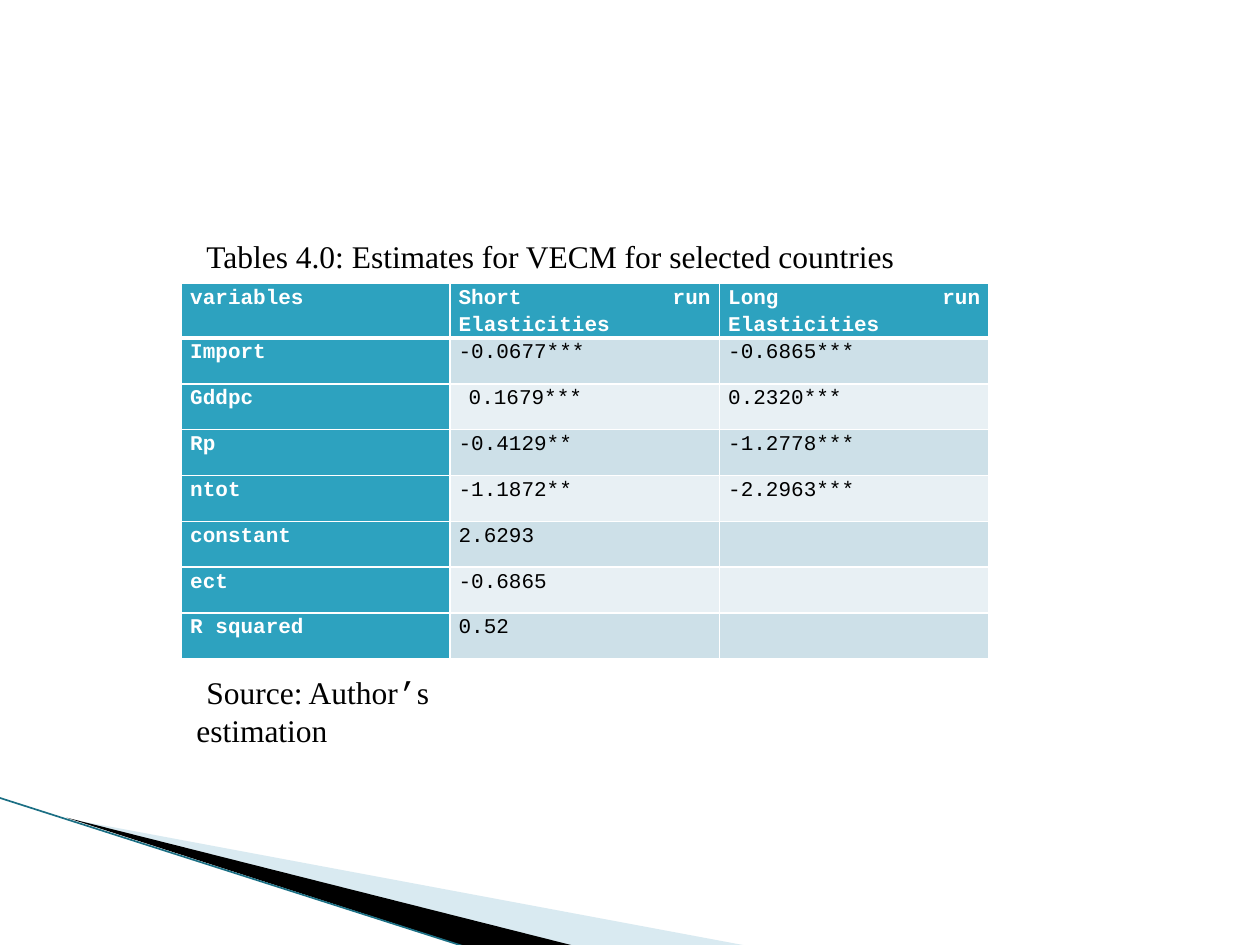
from lxml import etree
from pptx import Presentation
from pptx.dml.color import RGBColor
from pptx.enum.shapes import MSO_CONNECTOR
from pptx.enum.text import MSO_ANCHOR, PP_ALIGN
from pptx.oxml.ns import qn
from pptx.util import Inches, Pt

STRAIGHT = MSO_CONNECTOR.STRAIGHT
TOP, MIDDLE = MSO_ANCHOR.TOP, MSO_ANCHOR.MIDDLE
JUSTIFY = PP_ALIGN.JUSTIFY
WHITE = RGBColor(0xFF, 0xFF, 0xFF)
BLACK = RGBColor(0, 0, 0)
TEAL = RGBColor(0x2D, 0xA2, 0xBF)
DARK_TEAL = RGBColor(0x1B, 0x6F, 0x84)
PALE_BLUE = RGBColor(0xA0, 0xCB, 0xDC)
BANDS = (RGBColor(0xCD, 0xE0, 0xE8), RGBColor(0xE8, 0xF0, 0xF4))
SERIF, MONO = "Times New Roman", "Courier New"
INDENT = Inches(0.08)

# Content
ROWS = [
    ("variables", "Short run Elasticities", "Long run Elasticities"),
    ("Import", "-0.0677***", "-0.6865***"),
    ("Gddpc", "0.1679***", "0.2320***"),
    ("Rp", "-0.4129**", "-1.2778***"),
    ("ntot", "-1.1872**", "-2.2963***"),
    ("constant", "2.6293", ""),
    ("ect", "-0.6865", ""),
    ("R squared", "0.52", ""),
]
INDENTED_CELL = (2, 1)
# left, top, width, height, anchor, runs
CAPTIONS = [
    (1.46, 1.83, 5.8, 0.4, MIDDLE,
     [("Tables 4.0: Estimates for VECM for selected countries", SERIF)]),
    (1.46, 5.29, 3.09, 0.7, TOP,
     [("Source: Author", SERIF), ("\u2019", MONO), ("s estimation", SERIF)]),
]
# colour, opacity in percent, corner points
WEDGES = [
    (PALE_BLUE, 40, [(0.55, 6.5), (5.95, 7.51), (4.56, 7.51)]),
    (BLACK, 100, [(0.53, 6.49), (4.57, 7.51), (3.72, 7.52)]),
]


def add_run(paragraph, text, font_name, size, color, bold=False):
    run = paragraph.add_run()
    run.text = text
    run.font.name = font_name
    run.font.size = Pt(size)
    run.font.color.rgb = color
    run.font.bold = bold


def indent_first_line(paragraph):
    paragraph._p.get_or_add_pPr().set("indent", str(INDENT))


def set_borders(cell, widths):
    properties = cell._tc.get_or_add_tcPr()
    for position, (side, width) in enumerate(widths.items()):
        line = etree.Element(qn("a:" + side), w=str(Pt(width)))
        fill = etree.SubElement(line, qn("a:solidFill"))
        etree.SubElement(fill, qn("a:srgbClr"), val=str(WHITE))
        properties.insert(position, line)


presentation = Presentation()
presentation.slide_width, presentation.slide_height = Inches(10), Inches(7.5)
slide = presentation.slides.add_slide(presentation.slide_layouts[6])
shapes = slide.shapes

# Corner wedges
for color, opacity, points in WEDGES:
    corners = [(Inches(x), Inches(y)) for x, y in points]
    builder = shapes.build_freeform(*corners[0])
    builder.add_line_segments(corners[1:])
    wedge = builder.convert_to_shape()
    wedge.shadow.inherit = False
    wedge.fill.solid()
    wedge.fill.fore_color.rgb = color
    wedge.line.fill.background()
    if opacity < 100:
        color_element = wedge._element.spPr.find(".//" + qn("a:srgbClr"))
        etree.SubElement(color_element, qn("a:alpha"), val=str(opacity * 1000))

# Edge line
edge = shapes.add_connector(STRAIGHT, Inches(-0.01), Inches(6.33), Inches(3.71), Inches(7.52))
edge.line.color.rgb = DARK_TEAL
edge.line.width = Pt(0.95)
etree.SubElement(edge._element.spPr, qn("a:effectLst"))

# Estimates table
table = shapes.add_table(len(ROWS), len(ROWS[0]), Inches(1.44), Inches(2.25),
                         Inches(6.41), Inches(2.91)).table
for column, width in zip(table.columns, (2.13, 2.14, 2.14)):
    column.width = Inches(width)
for r, values in enumerate(ROWS):
    table.rows[r].height = Inches(0.43 if r == 0 else 0.364)
    for c, value in enumerate(values):
        cell = table.cell(r, c)
        heading = r == 0 or c == 0
        cell.margin_left = cell.margin_right = Inches(0.07)
        cell.margin_top = cell.margin_bottom = 0
        cell.fill.solid()
        cell.fill.fore_color.rgb = TEAL if heading else BANDS[(r - 1) % 2]
        set_borders(cell, {"lnL": 1, "lnR": 1, "lnT": 3 if r == 1 else 1,
                           "lnB": 3 if r == 0 else 1})
        paragraph = cell.text_frame.paragraphs[0]
        paragraph.alignment = JUSTIFY
        paragraph.line_spacing = 1.15
        if (r, c) == INDENTED_CELL:
            indent_first_line(paragraph)
        if value:
            add_run(paragraph, value, MONO, 12, WHITE if heading else BLACK, heading)
        else:
            paragraph.font.size = Pt(12)

# Captions above and below the table
for left, top, width, height, anchor, runs in CAPTIONS:
    caption = shapes.add_textbox(Inches(left), Inches(top), Inches(width), Inches(height))
    frame = caption.text_frame
    frame.word_wrap = True
    frame.vertical_anchor = anchor
    indent_first_line(frame.paragraphs[0])
    for text, font_name in runs:
        add_run(frame.paragraphs[0], text, font_name, 18, BLACK)

presentation.save("out.pptx")
